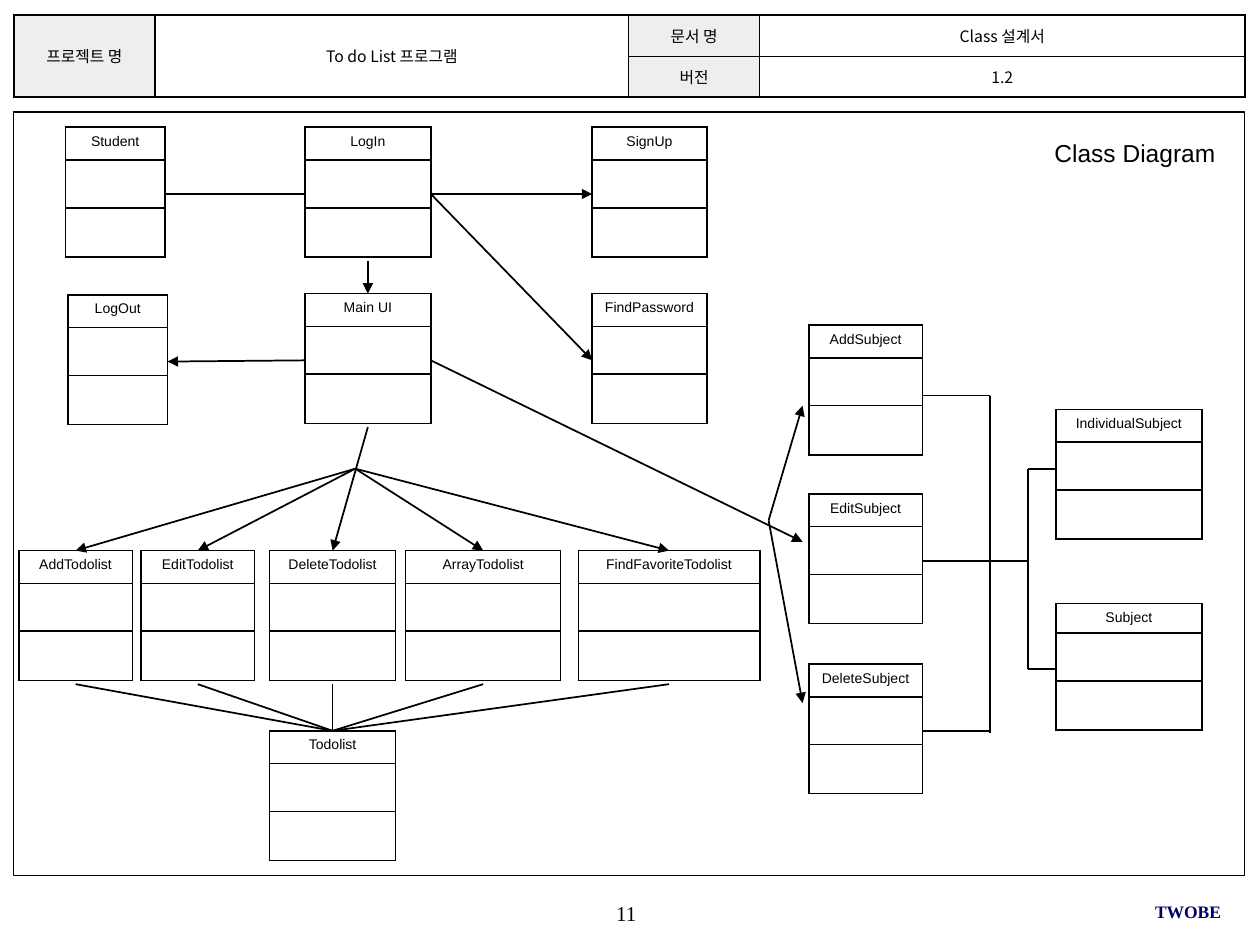
from dataclasses import dataclass

from lxml.etree import SubElement
from pptx import Presentation
from pptx.dml.color import RGBColor
from pptx.enum.shapes import MSO_CONNECTOR, MSO_SHAPE
from pptx.enum.text import MSO_ANCHOR, PP_ALIGN
from pptx.oxml import parse_xml
from pptx.oxml.ns import nsdecls, qn
from pptx.util import Inches, Pt


@dataclass(frozen=True)
class Theme:
    ink: str = "000000"
    paper: str = "FFFFFF"
    label: str = "EEEEEE"
    team: str = "000066"
    sans: str = "Arial"
    serif: str = "Times New Roman"
    korean: str = "Noto Sans CJK KR"
    class_size: float = 8
    header_size: float = 9
    team_size: float = 10
    number_size: float = 12
    title_size: float = 14
    line: float = 1
    frame_line: float = 0.75


@dataclass(frozen=True)
class ClassBox:
    x: float
    y: float
    width: float
    height: float = 1.06

    def left(self):
        return self.x, self.y + self.height / 2

    def right(self):
        return self.x + self.width, self.y + self.height / 2

    def top(self):
        return self.x + self.width / 2, self.y

    def bottom(self):
        return self.x + self.width / 2, self.y + self.height


class ClassSlide:
    """Draws the parts of a class diagram on one slide in one style."""

    def __init__(self, slide, theme):
        self.shapes = slide.shapes
        self.theme = theme

    def set_text(self, frame, text, font, size, align, color=None, bold=False):
        frame.text = text
        paragraph = frame.paragraphs[0]
        paragraph.alignment = align
        for run in paragraph.runs:
            run.font.name = font
            run.font.size = Pt(size)
            run.font.bold = bold
            run.font.color.rgb = RGBColor.from_string(color or self.theme.ink)
            SubElement(run.font._element, qn("a:ea")).set("typeface", font)

    def text(self, area, text, font, size, align, color=None, bold=False, inset=0, anchor=MSO_ANCHOR.MIDDLE):
        frame = self.shapes.add_textbox(*map(Inches, area)).text_frame
        frame.word_wrap = True
        frame.vertical_anchor = anchor
        frame.margin_left = frame.margin_right = Inches(inset)
        frame.margin_top = frame.margin_bottom = Inches(inset / 2)
        self.set_text(frame, text, font, size, align, color, bold)

    def frame(self, area):
        border = self.shapes.add_shape(MSO_SHAPE.RECTANGLE, *map(Inches, area))
        border.shadow.inherit = False
        border.fill.background()
        border.line.color.rgb = RGBColor.from_string(self.theme.ink)
        border.line.width = Pt(self.theme.frame_line)

    def grid(self, x, y, widths, heights):
        area = (x, y, sum(widths), sum(heights))
        table = self.shapes.add_table(len(heights), len(widths), *map(Inches, area)).table
        table.first_row = table.horz_banding = False
        for column, width in zip(table.columns, widths):
            column.width = Inches(width)
        for row, height in zip(table.rows, heights):
            row.height = Inches(height)
        return table

    def style_cell(self, cell, fill, across, down):
        cell.margin_left = cell.margin_right = Inches(across)
        cell.margin_top = cell.margin_bottom = Inches(down)
        cell.fill.solid()
        cell.fill.fore_color.rgb = RGBColor.from_string(fill)
        properties = cell._tc.get_or_add_tcPr()
        for place, side in enumerate(("lnL", "lnR", "lnT", "lnB")):
            properties.insert(place, parse_xml(
                f'<a:{side} {nsdecls("a")} w="{Pt(self.theme.line)}"><a:solidFill>'
                f'<a:srgbClr val="{self.theme.ink}"/></a:solidFill></a:{side}>'))

    def header(self, x, y, widths, heights, rows):
        table = self.grid(x, y, widths, heights)
        for r, row in enumerate(rows):
            for c, text in enumerate(row):
                cell = table.cell(r, c)
                fill = self.theme.paper if c % 2 else self.theme.label
                self.style_cell(cell, fill, 0.04, 0.02)
                cell.vertical_anchor = MSO_ANCHOR.MIDDLE
                self.set_text(cell.text_frame, text, self.theme.korean, self.theme.header_size, PP_ALIGN.CENTER)
        for c in range(2):
            table.cell(0, c).merge(table.cell(1, c))

    def class_box(self, name, x, y, width, name_height=0.26):
        table = self.grid(x, y, [width], [name_height, 0.38, 0.39])
        self.style_cell(table.cell(0, 0), self.theme.paper, 0.1, 0.05)
        self.set_text(table.cell(0, 0).text_frame, name, self.theme.sans, self.theme.class_size, PP_ALIGN.CENTER)
        for r in (1, 2):
            self.style_cell(table.cell(r, 0), self.theme.paper, 0, 0)
        return ClassBox(x, y, width)

    def link(self, start, end, arrow=False):
        line = self.shapes.add_connector(MSO_CONNECTOR.STRAIGHT, *map(Inches, (*start, *end)))
        line.line.color.rgb = RGBColor.from_string(self.theme.ink)
        line.line.width = Pt(self.theme.line)
        if arrow:
            SubElement(line.line._get_or_add_ln(), qn("a:tailEnd")).set("type", "triangle")
        SubElement(line._element.spPr, qn("a:effectLst"))


theme = Theme()
presentation = Presentation()
presentation.slide_width, presentation.slide_height = Inches(10), Inches(7.5)
page = ClassSlide(presentation.slides.add_slide(presentation.slide_layouts[6]), theme)

page.text((3.93, 7.08, 2.08, 0.33), "11", theme.serif, theme.number_size, PP_ALIGN.CENTER)
page.header(0.11, 0.12, [1.12, 3.76, 1.04, 3.85], [0.33, 0.32], [
    ["프로젝트 명", "To do List 프로그램", "문서 명", "Class 설계서"],
    ["", "", "버전", "1.2"],
])
page.frame((0.11, 0.89, 9.77, 6.06))
page.text((6.63, 7.07, 3.06, 0.33), "TWOBE", theme.serif, theme.team_size, PP_ALIGN.RIGHT, theme.team, True)

student = page.class_box("Student", 0.52, 1.01, 0.79)
login = page.class_box("LogIn", 2.42, 1.01, 1)
sign_up = page.class_box("SignUp", 4.7, 1.01, 0.91)
log_out = page.class_box("LogOut", 0.54, 2.34, 0.79)
main_ui = page.class_box("Main UI", 2.42, 2.33, 1)
find_password = page.class_box("FindPassword", 4.7, 2.33, 0.91)
page.class_box("IndividualSubject", 8.38, 3.25, 1.16)
page.class_box("Subject", 8.38, 4.79, 1.16, 0.23)
todolist = page.class_box("Todolist", 2.14, 5.8, 1)
todo_actions = [page.class_box(name + "Todolist", x, 4.37, width) for name, x, width in (
    ("Add", 0.15, 0.9), ("Edit", 1.12, 0.9), ("Delete", 2.14, 1),
    ("Array", 3.22, 1.23), ("FindFavorite", 4.59, 1.44))]
for name, y in (("Add", 2.58), ("Edit", 3.92), ("Delete", 5.27)):
    page.class_box(name + "Subject", 6.42, y, 0.9)

page.link(student.right(), login.left())
page.link(login.bottom(), main_ui.top(), True)
for target in (sign_up, find_password):
    page.link(login.right(), target.left(), True)
page.link(main_ui.left(), log_out.right(), True)

edit_end = (6.37, 4.3)
page.link(main_ui.right(), edit_end, True)
for y in (3.22, 5.58):
    page.link((6.1, 4.13), (edit_end[0], y), True)

todo_fork = (2.82, 3.72)
for action in todo_actions:
    is_delete = action.top()[0] == todolist.top()[0]
    page.link(main_ui.bottom() if is_delete else todo_fork, action.top(), True)
    page.link(action.bottom(), todolist.top())

subject_bus, kind_bus, kind_left = 7.86, 8.16, 8.38
for y in (3.14, 4.45, 5.8):
    page.link((7.32, y), (subject_bus, y))
page.link((subject_bus, 3.14), (subject_bus, 5.82))
page.link((subject_bus, 4.45), (kind_bus, 4.45))
page.link((kind_bus, 5.31), (kind_bus, 3.72))
for y in (3.72, 5.31):
    page.link((kind_bus, y), (kind_left, y))

page.text((8.27, 1.05, 1.58, 0.34), "Class Diagram", theme.sans, theme.title_size,
          PP_ALIGN.LEFT, inset=0.1, anchor=MSO_ANCHOR.TOP)
presentation.save("out.pptx")
